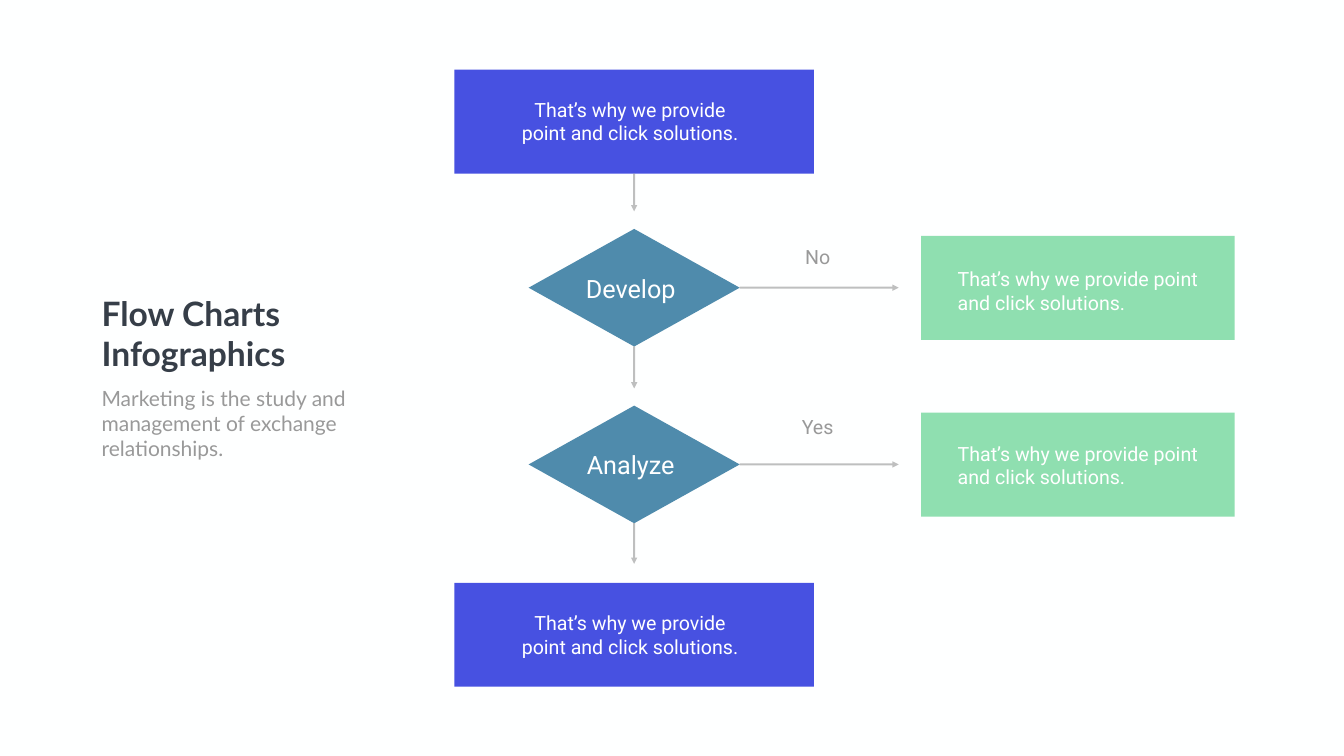
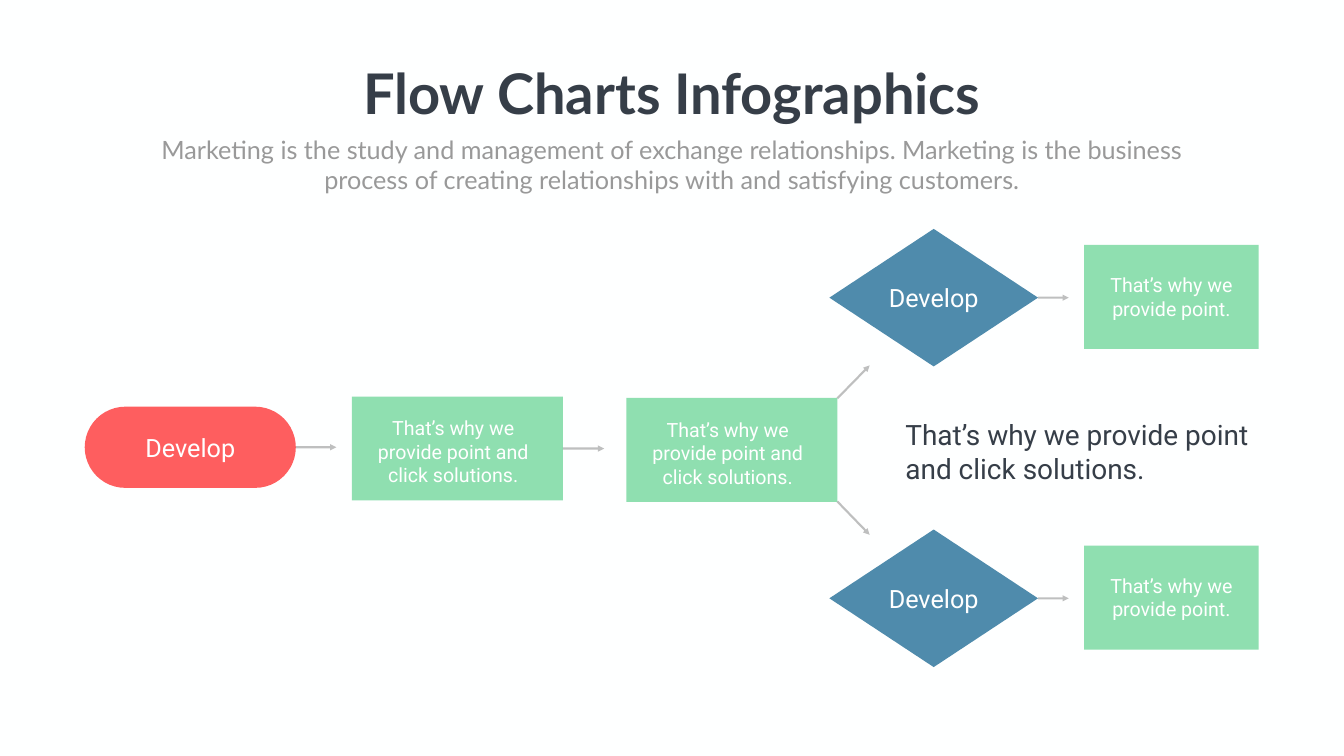
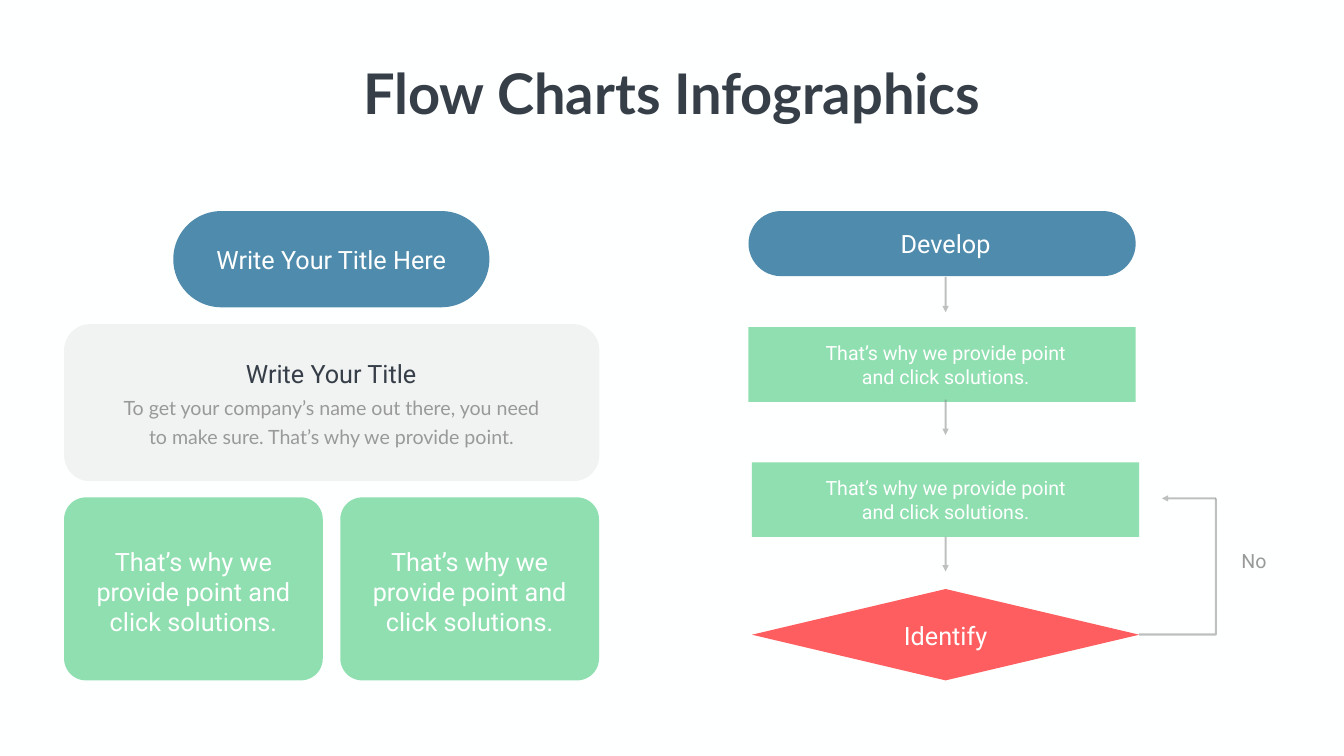
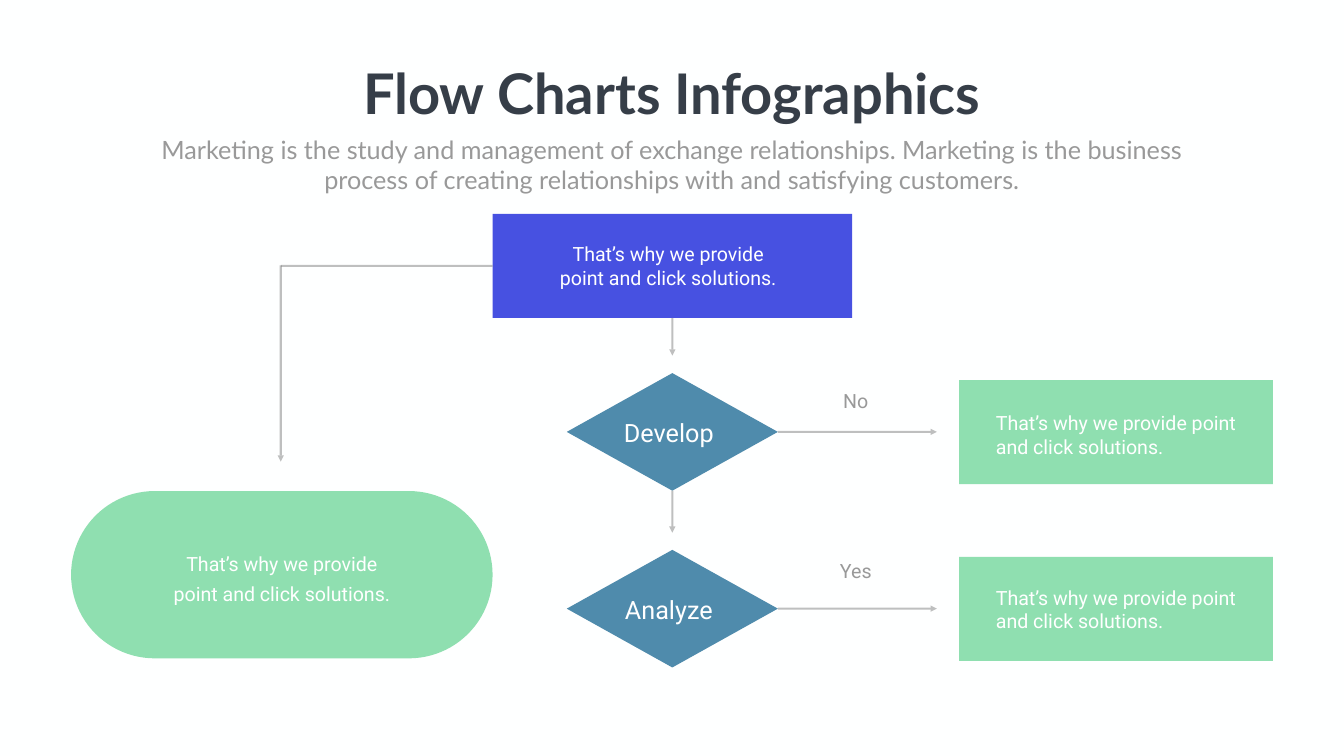
from lxml import etree
from pptx import Presentation
from pptx import util as u
from pptx.dml import color
from pptx.enum import shapes, text
from pptx.oxml import ns

Pt = u.Pt
SHAPE = shapes.MSO_SHAPE
LINK = shapes.MSO_CONNECTOR
ALIGN = text.PP_ALIGN

BACKGROUND, DARK, GREY, WHITE = "FEFFFF", "363E48", "999999", "FFFFFF"
MID_GREY, PURPLE, BLUE, GREEN, RED = "808080", "4751E1", "4F8BAC", "8FDFB0", "FE5E5F"
BOTTOM, LEFT, RIGHT = 2, 1, 3
TITLE = "Flow Charts Infographics"
STUDY = "Marketing is the study and management of exchange relationships."
SUBTITLE = STUDY + (" Marketing is the business process of creating "
                    "relationships with and satisfying customers.")
SOLUTIONS = "That’s why we provide point and click solutions."
POINT = "That’s why we provide point."


def rgb(value):
    return color.RGBColor.from_string(value)


def fade(fill, percent):
    colour = fill._xPr.find(".//" + ns.qn("a:srgbClr"))
    etree.SubElement(colour, ns.qn("a:alpha"), val=str(percent * 1000))


class Deck:
    def __init__(self, width, height):
        self.presentation = Presentation()
        self.presentation.slide_width = Pt(width)
        self.presentation.slide_height = Pt(height)
        fill = self.presentation.slide_master.background.fill
        fill.solid()
        fill.fore_color.rgb = rgb(BACKGROUND)

    def new_slide(self, box=(502.5, 80.5, 914.5, 104.5), size=80, align=ALIGN.CENTER, wrap=False):
        self.slide = self.presentation.slides.add_slide(self.presentation.slide_layouts[5])
        title = self.slide.shapes.title
        title.left, title.top, title.width, title.height = map(Pt, box)
        self.set_text(title, TITLE, size, DARK, "Lato", align, bold=True, wrap=wrap)

    def set_text(self, shape, words, size, colour, font, align, bold=False, wrap=True, spacing=None):
        frame = shape.text_frame
        frame.text = words
        frame.word_wrap = wrap
        frame.auto_size = text.MSO_AUTO_SIZE.NONE
        frame.vertical_anchor = text.MSO_ANCHOR.TOP
        paragraph = frame.paragraphs[0]
        paragraph.alignment = align
        if spacing:
            paragraph.line_spacing = Pt(spacing)
        for run in paragraph.runs:
            run.font.name, run.font.size, run.font.bold = font, Pt(size), bold
            run.font.color.rgb = rgb(colour)

    def label(self, box, words, size=28, colour=GREY, font="Roboto", align=ALIGN.CENTER, spacing=None):
        shape = self.slide.shapes.add_textbox(*map(Pt, box))
        self.set_text(shape, words, size, colour, font, align, spacing=spacing)

    def subtitle(self):
        self.label((210, 188, 1499, 94.5), SUBTITLE, 36, font="Lato")

    def block(self, kind, box, colour, rounding=None, opacity=None):
        shape = self.slide.shapes.add_shape(kind, *map(Pt, box))
        shape.shadow.inherit = False
        shape.fill.solid()
        shape.fill.fore_color.rgb = rgb(colour)
        shape.line.fill.background()
        if rounding is not None:
            shape.adjustments[0] = rounding
        if opacity is not None:
            fade(shape.fill, opacity)
        return shape

    def node(self, kind, box, colour, words, label_size, size=28, shift=(0, 0),
             align=ALIGN.CENTER, rounding=None, spacing=None):
        shape = self.block(kind, box, colour, rounding)
        left, top, width, height = box
        label_width, label_height = label_size
        label_box = (left + (width - label_width) / 2 + shift[0],
                     top + (height - label_height) / 2 + shift[1], label_width, label_height)
        self.label(label_box, words, size, WHITE, align=align, spacing=spacing)
        return shape

    def line(self, start, end, arrow=True, kind=LINK.STRAIGHT):
        connector = self.slide.shapes.add_connector(kind, *map(Pt, start + end))
        connector.line.width = Pt(3)
        connector.line.color.rgb = rgb(MID_GREY)
        fade(connector.line.fill, 50)
        if arrow:
            outline = connector.line._get_or_add_ln()
            etree.SubElement(outline, ns.qn("a:tailEnd"), type="triangle")
        etree.SubElement(connector._element.spPr, ns.qn("a:effectLst"))
        return connector

    def leave(self, shape, side, length, arrow=True):
        x, y = shape.left.pt, shape.top.pt
        width, height = shape.width.pt, shape.height.pt
        start, step = {
            LEFT: ((x, y + height / 2), (-length, 0)),
            BOTTOM: ((x + width / 2, y + height), (0, length)),
            RIGHT: ((x + width, y + height / 2), (length, 0)),
        }[side]
        end = (start[0] + step[0], start[1] + step[1])
        self.line(start, end, arrow).begin_connect(shape, side)

    def elbow(self, start, end):
        connector = self.line(start, end, False, LINK.ELBOW)
        connector._element.spPr.find(ns.qn("a:prstGeom")).set("prst", "bentConnector2")

    def process(self, left, top):
        return self.node(SHAPE.RECTANGLE, (left, top, 513.5, 148.5), PURPLE, SOLUTIONS,
                         (354, 75), shift=(-6, 0))

    def decisions(self, left, top):
        first = self.process(left, top)
        self.leave(first, BOTTOM, 54)
        rows = [("Develop", "No", 247, 4), ("Analyze", "Yes", 489.5, 1)]
        diamonds = []
        for row, (question, answer, answer_top, drop) in enumerate(rows):
            y = top + row * 252.5
            diamond = self.node(SHAPE.DIAMOND, (left + 106, y + 227.5, 301.5, 168), BLUE,
                                question, (245, 51), 36, (-5, 1))
            self.leave(diamond, RIGHT, 227)
            self.node(SHAPE.RECTANGLE, (left + 666.5, y + 237.5, 448, 148.5), GREEN, SOLUTIONS,
                      (359.5, 75), shift=(1, drop), align=ALIGN.LEFT)
            self.label((left + 481, top + answer_top, 75.5, 41), answer)
            diamonds.append(diamond)
        self.leave(diamonds[0], BOTTOM, 60)
        return first, diamonds[1]


def decision_column(deck):
    deck.new_slide((138, 415, 515, 124), 48, ALIGN.LEFT, True)
    deck.label((138, 547, 429, 117), STUDY, 30, font="Lato", align=ALIGN.LEFT)
    _, analyze = deck.decisions(649, 99.5)
    deck.leave(analyze, BOTTOM, 58)
    deck.process(649, 832.5)


def branching_row(deck):
    deck.new_slide()
    deck.subtitle()
    start = deck.node(SHAPE.ROUNDED_RECTANGLE, (121, 581, 301.5, 116), RED, "Develop",
                      (245, 51), 36, rounding=0.5)
    deck.leave(start, RIGHT, 58)
    steps = [deck.node(SHAPE.RECTANGLE, (left, top, 301.5, 148.5), GREEN, SOLUTIONS,
                       (264, 109), shift=(-6, 4.5))
             for left, top in ((502.5, 566.5), (894.5, 568.5))]
    deck.leave(steps[0], RIGHT, 59)
    deck.line((1196, 569), (1242, 522))
    deck.line((1196, 716.5), (1242, 764))
    for top in (327, 756.5):
        diamond = deck.node(SHAPE.DIAMOND, (1184.5, top, 298, 196.5), BLUE, "Develop",
                            (252, 51), 36)
        deck.leave(diamond, RIGHT, 44)
        deck.node(SHAPE.RECTANGLE, (1548.5, top + 23, 249, 148.5), GREEN, POINT, (212, 75))
    deck.label((1286, 593.5, 533, 104.5), SOLUTIONS, 40, DARK, align=ALIGN.LEFT)


def cards_and_loop(deck):
    deck.new_slide()
    deck.node(SHAPE.ROUNDED_RECTANGLE, (247.5, 301.5, 451.5, 137.5), BLUE,
              "Write Your Title Here", (367, 51), 36, rounding=0.5)
    deck.block(SHAPE.ROUNDED_RECTANGLE, (91.5, 463, 764.5, 224.5), MID_GREY, opacity=10)
    deck.label((165.5, 555, 615.5, 85.5), "To get your company’s name out there, you need "
               "to make sure. That’s why we provide point.", font="Lato", spacing=40.8)
    deck.label((267, 508.5, 412, 51), "Write Your Title", 36, DARK)
    for left in (91.5, 486):
        deck.node(SHAPE.ROUNDED_RECTANGLE, (left, 710.5, 369.5, 261.5), GREEN, SOLUTIONS,
                  (305, 138), 36, (0, 4), rounding=0.12)

    axis = 1350.5
    deck.node(SHAPE.ROUNDED_RECTANGLE, (1069, 301.5, 553, 93), BLUE, "Develop",
              (245, 50), 36, (5, 0), rounding=0.5)
    for left, top, shift in ((1069, 467.5, 5), (1074, 660.5, 0)):
        step = deck.node(SHAPE.RECTANGLE, (left, top, 553, 106.5), GREEN, SOLUTIONS,
                         (396, 73.5), shift=(shift, 0))
    deck.node(SHAPE.DIAMOND, (1074, 841.5, 553, 130.5), RED, "Identify", (245, 50), 36, (0, 1))
    for top in (395.5, 571):
        deck.line((axis, top), (axis, top + 50.5))
    deck.leave(step, BOTTOM, 49.5)
    deck.elbow((1627, 906.5), (1736.5, 712))
    deck.line((1736.5, 712), (1659.5, 712))
    deck.label((1753, 780.5, 75.5, 40.5), "No")


def decision_tree(deck):
    deck.new_slide()
    deck.subtitle()
    first, _ = deck.decisions(703.5, 305.5)
    deck.leave(first, LEFT, 302.5, arrow=False)
    deck.line((401, 379), (401, 659.5))
    deck.node(SHAPE.ROUNDED_RECTANGLE, (101.5, 701.5, 602, 239), GREEN, SOLUTIONS,
              (346.5, 90), rounding=0.5, spacing=43)


def main():
    deck = Deck(1919.5, 1080)
    for build in (decision_column, branching_row, cards_and_loop, decision_tree):
        build(deck)
    deck.presentation.save("out.pptx")


if __name__ == "__main__":
    main()
